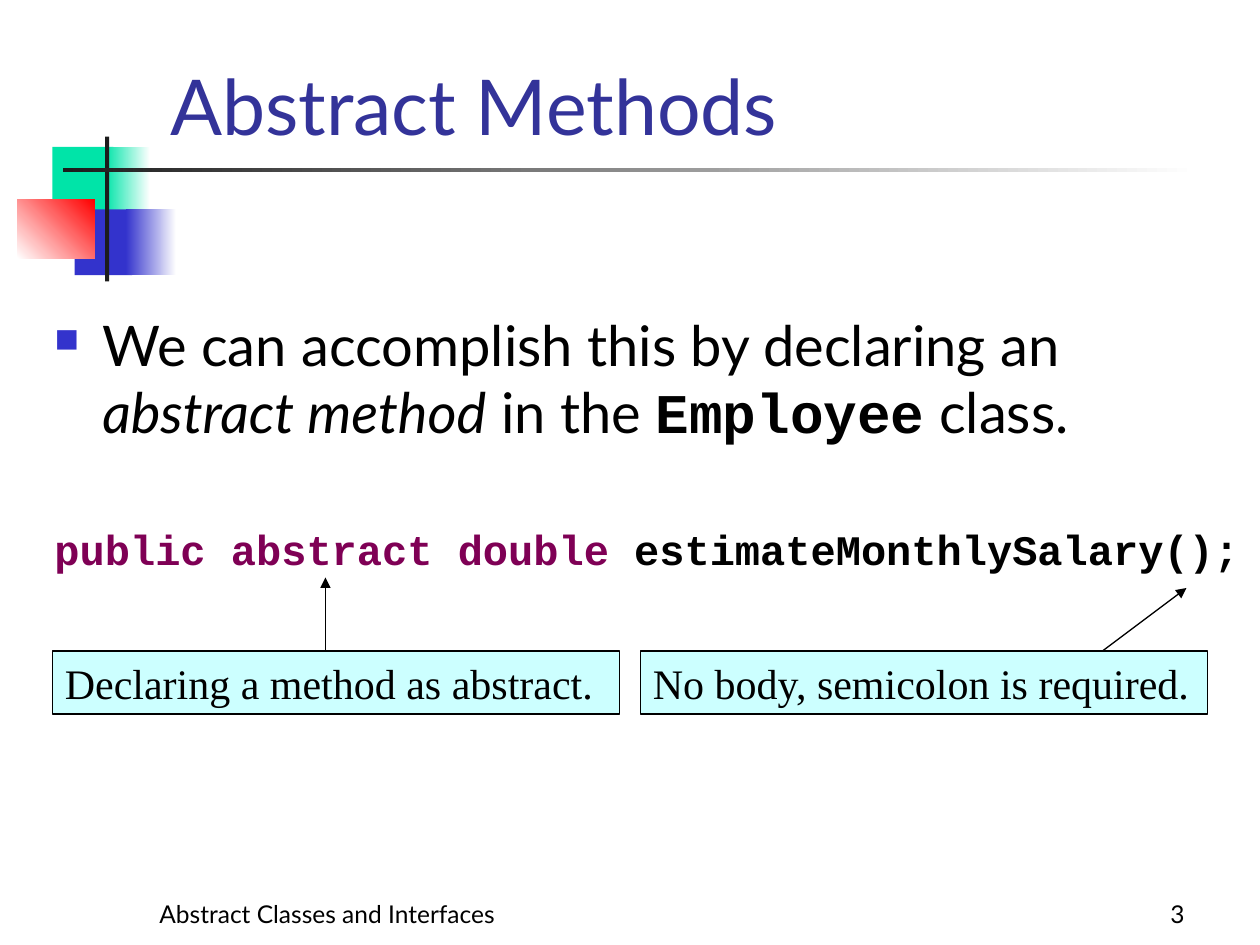
"""Build the Abstract Methods slide on a grid of 120 columns by 90 rows."""
import dataclasses
import typing

import pptx
import pptx.dml.color
import pptx.enum.dml
import pptx.enum.shapes
import pptx.enum.text
import pptx.oxml
import pptx.oxml.ns
import pptx.util

RGBColor = pptx.dml.color.RGBColor
BLACK = RGBColor(0x00, 0x00, 0x00)
WHITE = RGBColor(0xFF, 0xFF, 0xFF)
CHARCOAL = RGBColor(0x1C, 0x1C, 0x1C)
GREEN = RGBColor(0x00, 0xE4, 0xA8)
BLUE = RGBColor(0x33, 0x33, 0xCC)
RED = RGBColor(0xFF, 0x00, 0x00)
TITLE_BLUE = RGBColor(0x33, 0x33, 0x99)
KEYWORD = RGBColor(0x7F, 0x00, 0x55)
PALE_CYAN = RGBColor(0xCC, 0xFF, 0xFF)

SANS, SERIF, MONO = "Lato", "Times New Roman", "Courier New"
CELL = pptx.util.Inches(10) / 120
ANCHOR = pptx.enum.text.MSO_ANCHOR
ALIGN = pptx.enum.text.PP_ALIGN


class Box(typing.NamedTuple):
    """A rectangle in grid columns and rows."""
    column: float
    row: float
    columns: float
    rows: float


@dataclasses.dataclass
class Block:
    """A decorative rectangle, plain or fading to a second colour."""
    box: Box
    color: RGBColor
    fade: typing.Optional[RGBColor] = None
    angle: float = 0


@dataclasses.dataclass
class Callout:
    """A note with an arrow from its top edge."""
    text: str
    box: Box
    arrow_start: tuple
    arrow_end: tuple


@dataclasses.dataclass
class Footer:
    """A line of text at the foot of the slide."""
    text: str
    box: Box
    alignment: typing.Any


BLOCKS = [
    Block(Box(5, 14, 5.8, 6.25), GREEN),
    Block(Box(10, 14, 4.3, 6.25), GREEN, WHITE),
    Block(Box(7.1, 19.95, 5.5, 6.25), BLUE),
    Block(Box(12, 19.95, 4.8, 6.25), BLUE, WHITE),
    Block(Box(1.65, 19, 7.4, 5.6), WHITE, RED, 45),
    Block(Box(10, 13, 0.4, 13.8), CHARCOAL),
    Block(Box(6, 16, 108, 0.4), CHARCOAL, WHITE),
]
CALLOUTS = [
    Callout("Declaring a method as abstract.", Box(5, 62, 54, 6), (31, 62), (31, 55)),
    Callout("No body, semicolon is required.", Box(61, 62, 54, 6), (105, 62), (113, 56)),
]
FOOTERS = [
    Footer("Abstract Classes and Interfaces", Box(14, 83, 38, 6), ALIGN.LEFT),
    Footer("3", Box(89, 83, 25, 6), ALIGN.RIGHT),
]
PROSE = {"name": SANS, "size": pptx.util.Pt(32)}
CODE = {"name": MONO, "size": pptx.util.Pt(24), "bold": True}
STATEMENT = [
    ("We can accomplish this by declaring an ", PROSE, BLACK),
    ("abstract method", {**PROSE, "italic": True}, BLACK),
    (" in the ", PROSE, BLACK),
    ("Employee", {**PROSE, "name": MONO, "bold": True}, BLACK),
    (" class.", PROSE, BLACK),
]
DECLARATION = [
    ("public abstract double", CODE, KEYWORD),
    (" estimateMonthlySalary();", CODE, BLACK),
]


def grid(*values: float) -> list:
    """Turn grid units into lengths."""
    return [pptx.util.Emu(round(value * CELL)) for value in values]


def set_values(target: typing.Any, values: dict) -> None:
    """Set each named attribute."""
    for name, value in values.items():
        setattr(target, name, value)


def add_runs(paragraph: typing.Any, runs: list) -> None:
    """Add formatted runs to a paragraph."""
    for text, values, color in runs:
        run = paragraph.add_run()
        run.text = text
        set_values(run.font, values)
        run.font.color.rgb = color


def add_rectangle(slide: typing.Any, box: Box, color: RGBColor) -> typing.Any:
    """Draw a plain rectangle without outline or shadow."""
    shape = slide.shapes.add_shape(pptx.enum.shapes.MSO_SHAPE.RECTANGLE, *grid(*box))
    shape.shadow.inherit = False
    shape.fill.solid()
    shape.fill.fore_color.rgb = color
    shape.line.fill.background()
    return shape


def add_block(slide: typing.Any, block: Block) -> None:
    """Draw a decorative block."""
    shape = add_rectangle(slide, block.box, block.color)
    if block.fade is not None:
        shape.fill.gradient()
        shape.fill.gradient_angle = block.angle
        for stop, color in zip(shape.fill.gradient_stops, (block.color, block.fade)):
            stop.color.rgb = color


def add_text(slide: typing.Any, box: Box, anchor: typing.Any) -> typing.Any:
    """Add a wrapping text box and return its frame."""
    frame = slide.shapes.add_textbox(*grid(*box)).text_frame
    set_values(frame, {"word_wrap": True, "vertical_anchor": anchor})
    return frame


def add_arrow(slide: typing.Any, start: tuple, end: tuple) -> None:
    """Draw a thin line with a triangular head."""
    connector = slide.shapes.add_connector(
        pptx.enum.shapes.MSO_CONNECTOR.STRAIGHT, *grid(*start, *end))
    connector.line.width = pptx.util.Pt(0.75)
    connector.line.color.rgb = BLACK
    line = connector.line._get_or_add_ln()
    line.append(pptx.oxml.parse_xml(
        f'<a:tailEnd {pptx.oxml.ns.nsdecls("a")} type="triangle"/>'))
    line.addnext(pptx.oxml.parse_xml(f'<a:effectLst {pptx.oxml.ns.nsdecls("a")}/>'))


def add_callout(slide: typing.Any, callout: Callout) -> None:
    """Draw a note and its arrow."""
    shape = add_rectangle(slide, callout.box, PALE_CYAN)
    shape.line.color.rgb = BLACK
    shape.line.width = pptx.util.Pt(0.75)
    set_values(shape.text_frame, {"word_wrap": True, "vertical_anchor": ANCHOR.MIDDLE})
    paragraph = shape.text_frame.paragraphs[0]
    paragraph.alignment = ALIGN.LEFT
    add_runs(paragraph, [(callout.text, {"name": SERIF, "size": pptx.util.Pt(24)}, BLACK)])
    add_arrow(slide, callout.arrow_start, callout.arrow_end)


def add_title(slide: typing.Any, text: str) -> None:
    """Place and format the title placeholder."""
    title = slide.shapes.title
    set_values(title, dict(zip(("left", "top", "width", "height"), grid(15, 0, 102, 15))))
    set_values(title.text_frame, {"vertical_anchor": ANCHOR.BOTTOM, "word_wrap": True,
                                  "auto_size": pptx.enum.text.MSO_AUTO_SIZE.NONE})
    paragraph = title.text_frame.paragraphs[0]
    paragraph.alignment = ALIGN.LEFT
    add_runs(paragraph, [(text, {"name": SANS, "size": pptx.util.Pt(44)}, TITLE_BLUE)])


def add_body(slide: typing.Any) -> None:
    """Add the bulleted statement and the declaration below it."""
    frame = add_text(slide, Box(4, 29, 116, 51.5), ANCHOR.TOP)
    statement, declaration = frame.paragraphs[0], frame.add_paragraph()
    add_runs(statement, STATEMENT)
    add_runs(declaration, DECLARATION)
    declaration.space_before = pptx.util.Pt(45)
    indent = pptx.util.Inches(0.38)
    for paragraph in (statement, declaration):
        properties = paragraph._p.get_or_add_pPr()
        properties.set("marL", str(indent))
        properties.set("indent", str(-indent))
    namespace = pptx.oxml.ns.nsdecls("a")
    properties = statement._p.get_or_add_pPr()
    for bullet in (f'<a:buClr {namespace}><a:srgbClr val="{BLUE}"/></a:buClr>',
                   f'<a:buSzPct {namespace} val="60000"/>',
                   f'<a:buChar {namespace} char="■"/>'):
        properties.append(pptx.oxml.parse_xml(bullet))


def main() -> None:
    """Build and save the slide."""
    presentation = pptx.Presentation()
    set_values(presentation, dict(zip(("slide_width", "slide_height"), grid(120, 90))))
    slide = presentation.slides.add_slide(presentation.slide_layouts[5])
    for block in BLOCKS:
        add_block(slide, block)
    for footer in FOOTERS:
        paragraph = add_text(slide, footer.box, ANCHOR.BOTTOM).paragraphs[0]
        paragraph.alignment = footer.alignment
        add_runs(paragraph, [(footer.text, {"name": SANS, "size": pptx.util.Pt(14)}, BLACK)])
    add_title(slide, "Abstract Methods")
    add_body(slide)
    for callout in CALLOUTS:
        add_callout(slide, callout)
    presentation.save("out.pptx")


if __name__ == "__main__":
    main()
